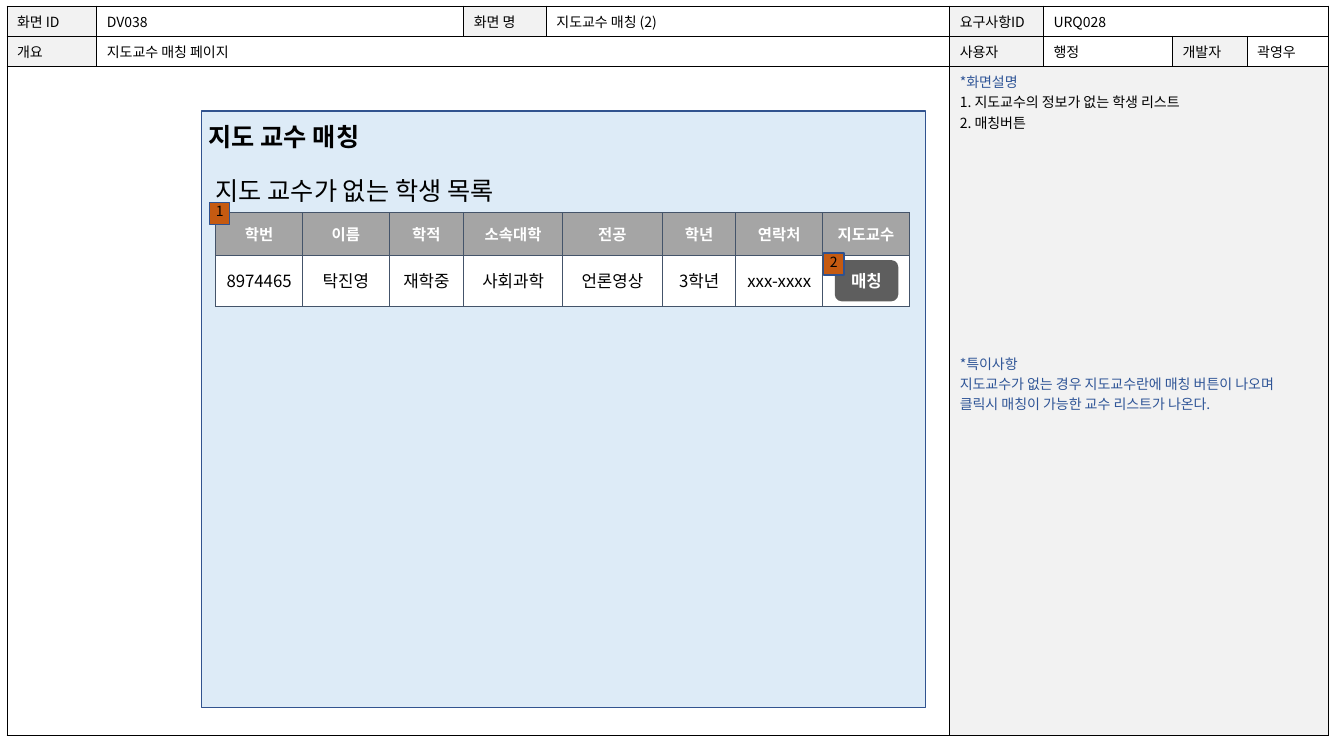
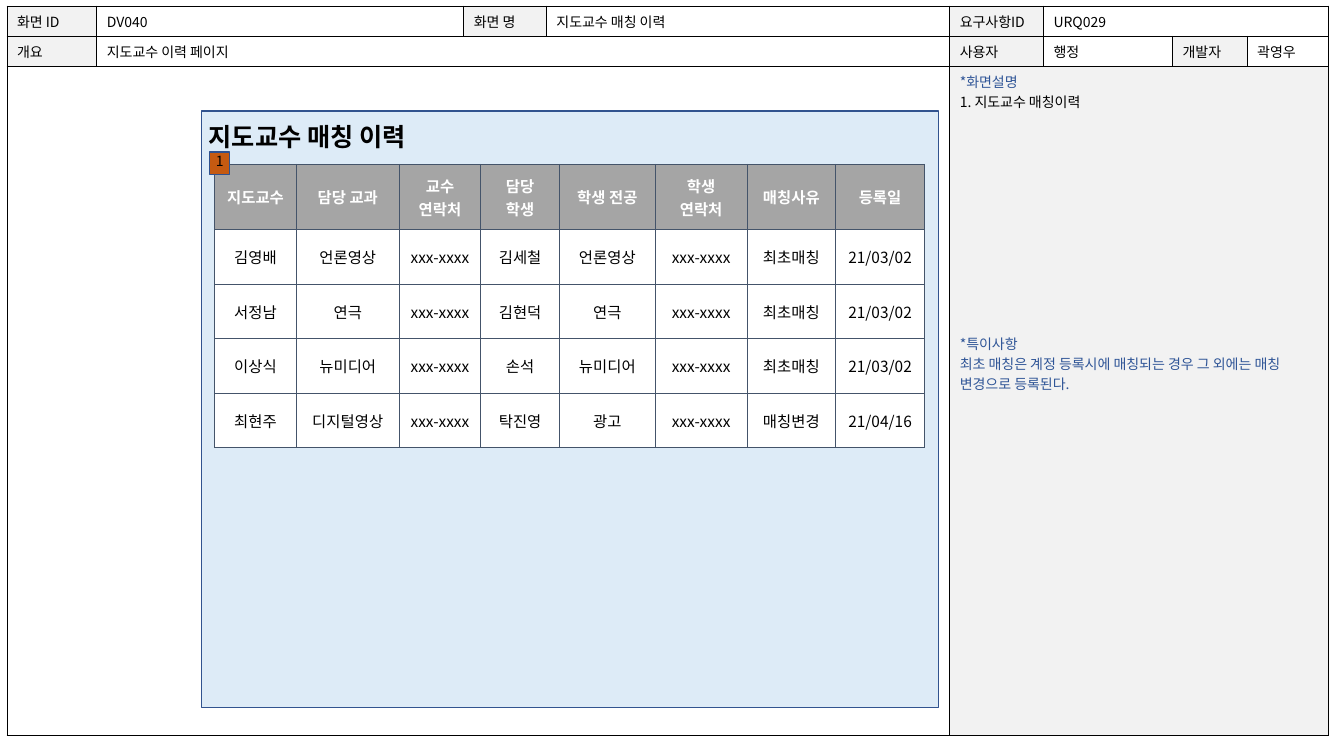
from dataclasses import dataclass

from pptx import Presentation
from pptx.dml.color import RGBColor
from pptx.enum.shapes import MSO_SHAPE as Preset
from pptx.enum.text import MSO_ANCHOR as Anchor, PP_ALIGN as Align
from pptx.oxml.ns import qn
from pptx.util import Inches, Pt
from lxml.etree import SubElement


@dataclass(frozen=True)
class Theme:
    font: str = "Noto Sans CJK KR"
    ink: str = "000000"
    paper: str = "FFFFFF"
    label: str = "F2F2F2"
    note: str = "2F5597"
    panel: str = "DDEBF7"
    panel_line: str = "31538F"
    header: str = "A5A5A5"
    grid: str = "44546A"
    marker: str = "C55A11"
    marker_line: str = "2F528F"
    button: str = "5E5E5E"
    small: int = 10
    table: int = 11
    large: int = 12
    title: int = 18
    rule: float = 0.75


class ScreenDeck:
    """Draws screen specification slides in one shared style."""

    def __init__(self, theme):
        self.theme = theme
        self.deck = Presentation()
        self.deck.slide_width, self.deck.slide_height = Inches(13.33), Inches(7.5)
        self.slide = None

    def add_page(self):
        self.slide = self.deck.slides.add_slide(self.deck.slide_layouts[6])

    def style(self, para, size, color, bold=False, align=Align.LEFT):
        para.alignment = align
        for span in para.runs:
            font = span.font
            font.name, font.size, font.bold = self.theme.font, Pt(size), bold
            font.color.rgb = RGBColor.from_string(color)
            SubElement(span._r.get_or_add_rPr(), qn("a:ea"), typeface=self.theme.font)
        if not para.runs:
            para._p.get_or_add_endParaRPr().set("sz", str(size * 100))

    def set_text(self, frame, text, *look):
        frame.text = text
        for para in frame.paragraphs:
            self.style(para, *look)

    def inset(self, frame, margin):
        frame.margin_left = frame.margin_right = Inches(margin)
        frame.margin_top = frame.margin_bottom = Inches(margin)

    def text(self, left, top, width, text, bold=False):
        box = self.slide.shapes.add_textbox(*map(Inches, (left, top, width, 0.41)))
        frame = box.text_frame
        frame.word_wrap = True
        frame.vertical_anchor = Anchor.MIDDLE
        self.inset(frame, 0)
        self.set_text(frame, text, self.theme.title, self.theme.ink, bold)

    def shape(self, preset, place, fill, line=None):
        shape = self.slide.shapes.add_shape(preset, *map(Inches, place))
        shape.shadow.inherit = False
        shape.fill.solid()
        shape.fill.fore_color.rgb = RGBColor.from_string(fill)
        if line:
            shape.line.color.rgb = RGBColor.from_string(line)
            shape.line.width = Pt(1)
        else:
            shape.line.fill.background()
        return shape

    def panel(self, width, title, title_width):
        theme = self.theme
        self.shape(Preset.RECTANGLE, (2, 1.1, width, 5.92), theme.panel, theme.panel_line)
        self.text(2.07, 1.15, title_width, title, True)

    def marker(self, left, top, number):
        theme = self.theme
        place = (left, top, 0.2, 0.22)
        box = self.shape(Preset.RECTANGLE, place, theme.marker, theme.marker_line)
        box.text_frame.vertical_anchor = Anchor.TOP
        self.inset(box.text_frame, 0)
        self.set_text(box.text_frame, number, theme.small, theme.ink, False, Align.CENTER)

    def button(self, left, top, text):
        theme = self.theme
        place = (left, top, 0.63, 0.41)
        box = self.shape(Preset.ROUNDED_RECTANGLE, place, theme.button)
        box.adjustments[0] = 0.17
        box.text_frame.vertical_anchor = Anchor.MIDDLE
        self.inset(box.text_frame, 0.1)
        self.set_text(box.text_frame, text, theme.large, theme.paper, True, Align.CENTER)

    def grid(self, left, top, widths, heights, line):
        place = map(Inches, (left, top, sum(widths), sum(heights)))
        table = self.slide.shapes.add_table(len(heights), len(widths), *place).table
        table.first_row = table.horz_banding = False
        for column, width in zip(table.columns, widths):
            column.width = Inches(width)
        for row, height in zip(table.rows, heights):
            row.height = Inches(height)
        for cell in table.iter_cells():
            properties = cell._tc.get_or_add_tcPr()
            for side in ("a:lnL", "a:lnR", "a:lnT", "a:lnB"):
                edge = SubElement(properties, qn(side), w=str(Pt(self.theme.rule)))
                solid = SubElement(edge, qn("a:solidFill"))
                SubElement(solid, qn("a:srgbClr"), val=line)
            self.fill(cell, self.theme.paper)
        return table

    def fill(self, cell, color):
        cell.fill.solid()
        cell.fill.fore_color.rgb = RGBColor.from_string(color)

    def list_table(self, left, top, widths, heights, rows, body_size):
        theme = self.theme
        table = self.grid(left, top, widths, heights, theme.grid)
        for row_index, row in enumerate(rows):
            head = row_index == 0
            size = theme.table if head else body_size
            color = theme.paper if head else theme.ink
            for column_index, text in enumerate(row):
                cell = table.cell(row_index, column_index)
                cell.vertical_anchor = Anchor.MIDDLE
                self.inset(cell, 0.1)
                self.set_text(cell.text_frame, text, size, color, head, Align.CENTER)
                if head:
                    self.fill(cell, theme.header)

    def screen_form(self, screen_id, name, requirement, summary, details, remarks):
        theme = self.theme
        widths = [0.89, 3.64, 0.82, 4, 0.93, 1.28, 0.74, 0.81]
        table = self.grid(0.07, 0.06, widths, [0.3, 0.3, 6.64], theme.ink)
        for row, first, last in ((0, 5, 7), (1, 1, 3), (2, 0, 3), (2, 4, 7)):
            table.cell(row, first).merge(table.cell(row, last))
        fields = (
            (0, 0, "화면 ID", screen_id),
            (0, 2, "화면 명", name),
            (0, 4, "요구사항ID", requirement),
            (1, 0, "개요", summary),
            (1, 4, "사용자", "행정"),
            (1, 6, "개발자", "곽영우"),
        )
        for row, column, label, value in fields:
            self.fill(table.cell(row, column), theme.label)
            for offset, text in enumerate((label, value)):
                frame = table.cell(row, column + offset).text_frame
                self.set_text(frame, text, theme.small, theme.ink)
        self.notes(table.cell(2, 4), details, remarks)

    def notes(self, cell, details, remarks):
        theme = self.theme
        self.fill(cell, theme.label)
        lines = ["*화면설명", *details, "*특이사항", *remarks]
        self.set_text(cell.text_frame, "\n".join(lines), theme.small, theme.note)
        paras = cell.text_frame.paragraphs
        for para in paras[1:len(details) + 1]:
            para._p.get_or_add_pPr().set("marL", str(Inches(0.25)))
            para._p.get_or_add_pPr().set("indent", str(Inches(-0.25)))
            for span in para.runs:
                span.font.color.rgb = RGBColor.from_string(theme.ink)
        paras[len(details) + 1].space_before = Pt(158)


def matching_page(screen):
    screen.add_page()
    screen.screen_form(
        "DV038", "지도교수 매칭 (2)", "URQ028", "지도교수 매칭 페이지",
        ["1. 지도교수의 정보가 없는 학생 리스트", "2. 매칭버튼"],
        ["지도교수가 없는 경우 지도교수란에 매칭 버튼이 나오며",
         "클릭시 매칭이 가능한 교수 리스트가 나온다."],
    )
    screen.panel(7.18, "지도 교수 매칭", 1.84)
    students = [
        ["학번", "이름", "학적", "소속대학", "전공", "학년", "연락처", "지도교수"],
        ["8974465", "탁진영", "재학중", "사회과학", "언론영상", "3학년", "xxx-xxxx", ""],
    ]
    widths = [0.86, 0.86, 0.74, 0.98, 0.99, 0.73, 0.86, 0.86]
    screen.list_table(2.14, 2.11, widths, [0.42, 0.51], students, screen.theme.large)
    screen.text(2.14, 1.68, 3.2, "지도 교수가 없는 학생 목록")
    screen.marker(2.08, 2.01, "1")
    screen.button(8.28, 2.58, "매칭")
    screen.marker(8.17, 2.51, "2")


def history_page(screen):
    screen.add_page()
    screen.screen_form(
        "DV040", "지도교수 매칭 이력", "URQ029", "지도교수 이력 페이지",
        ["1. 지도교수 매칭이력"],
        ["최초 매칭은 계정 등록시에 매칭되는 경우 그 외에는 매칭 변경으로 등록된다."],
    )
    screen.panel(7.31, "지도교수 매칭 이력", 2.39)
    phone = "xxx-xxxx"
    matches = [
        ("김영배", "언론영상", "김세철", "언론영상", "최초매칭", "21/03/02"),
        ("서정남", "연극", "김현덕", "연극", "최초매칭", "21/03/02"),
        ("이상식", "뉴미디어", "손석", "뉴미디어", "최초매칭", "21/03/02"),
        ("최현주", "디지털영상", "탁진영", "광고", "매칭변경", "21/04/16"),
    ]
    rows = [["지도교수", "담당 교과", "교수 연락처", "담당 학생", "학생 전공",
             "학생\n연락처", "매칭사유", "등록일"]]
    for professor, subject, student, major, reason, date in matches:
        rows.append([professor, subject, phone, student, major, phone, reason, date])
    widths = [0.81, 1.02, 0.81, 0.78, 0.95, 0.91, 0.88, 0.88]
    heights = [0.65] + [0.54] * len(matches)
    screen.list_table(2.13, 1.63, widths, heights, rows, screen.theme.table)
    screen.marker(2.08, 1.51, "1")


def main():
    screen = ScreenDeck(Theme())
    matching_page(screen)
    history_page(screen)
    screen.deck.save("out.pptx")


if __name__ == "__main__":
    main()
